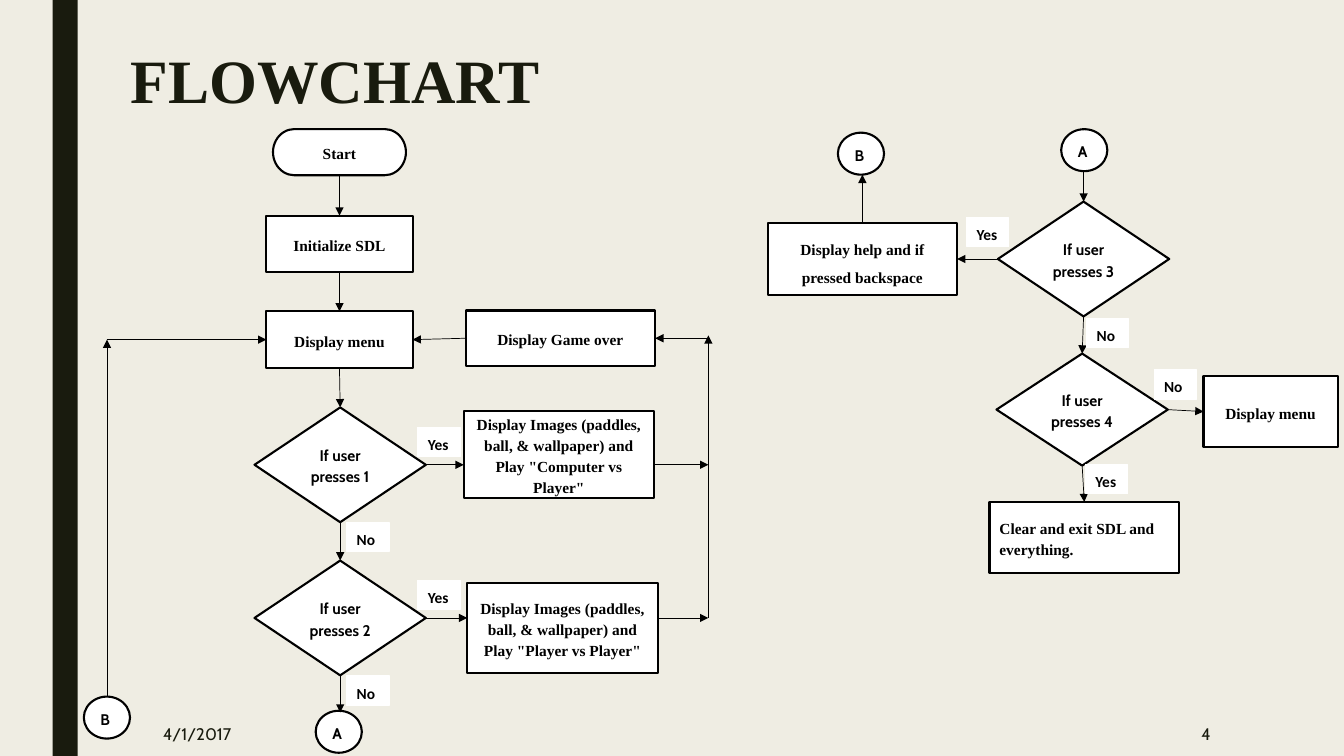
from dataclasses import dataclass

from pptx import Presentation
from pptx.dml.color import RGBColor as RGB
from pptx.enum.shapes import MSO_CONNECTOR as LINE, MSO_SHAPE as SHAPE
from pptx.enum.text import MSO_ANCHOR as ANCHOR, PP_ALIGN as ALIGN
from pptx.oxml.ns import qn
from pptx.util import Pt
from lxml.etree import SubElement

TOP, LEFT, BOTTOM, RIGHT = range(4)


@dataclass(frozen=True)
class Theme:
    paper: RGB = RGB(0xEF, 0xED, 0xE3)
    dark: RGB = RGB(0x19, 0x1B, 0x0E)
    white: RGB = RGB(0xFF, 0xFF, 0xFF)
    black: RGB = RGB(0, 0, 0)
    serif: str = "Times New Roman"
    sans: str = "Cabin"
    label: str = "Calibri"
    title_size: float = 44
    footer_size: float = 12
    node_size: float = 11
    outline: float = 1.5
    label_outline: float = 0.75
    arrow: float = 0.5


T = Theme()


def write(sp, text, font, size, color, bold=True, align=ALIGN.LEFT,
          anchor=ANCHOR.MIDDLE, spacing=None, after=None):
    tf = sp.text_frame
    tf.word_wrap = True
    tf.vertical_anchor = anchor
    p = tf.paragraphs[0]
    p.text = text
    p.alignment = align
    if spacing:
        p.line_spacing = spacing
    if after:
        p.space_after = Pt(after)
    f = p.runs[0].font
    f.name, f.size, f.bold = font, Pt(size), bold
    f.color.rgb = color


def textbox(s, x, y, w, h, text, font, size, **style):
    sp = s.shapes.add_textbox(Pt(x), Pt(y), Pt(w), Pt(h))
    write(sp, text, font, size, T.dark, **style)


def block(s, kind, x, y, w, h, fill, line, weight):
    sp = s.shapes.add_shape(kind, Pt(x), Pt(y), Pt(w), Pt(h))
    sp.shadow.inherit = False
    sp.fill.solid()
    sp.fill.fore_color.rgb = fill
    sp.line.color.rgb = line
    sp.line.width = Pt(weight)
    return sp


def node(s, kind, cx, cy, w, h, text, font=T.serif, align=ALIGN.CENTER, spacing=1.15):
    sp = block(s, kind, cx - w / 2, cy - h / 2, w, h, T.white, T.black, T.outline)
    write(sp, text, font, T.node_size, T.black, align=align, spacing=spacing, after=10)
    return sp


def process(s, cx, cy, w, h, text, **style):
    return node(s, SHAPE.FLOWCHART_PROCESS, cx, cy, w, h, text, **style)


def decision(s, cx, cy, key, h=82):
    return node(s, SHAPE.FLOWCHART_DECISION, cx, cy, 122.4, h,
                f"If user presses {key}", font=T.sans)


def junction(s, cx, cy, letter):
    return node(s, SHAPE.FLOWCHART_CONNECTOR, cx, cy, 33, 30, letter,
                font=T.sans, align=ALIGN.LEFT)


def answer(s, x, y, text):
    sp = block(s, SHAPE.RECTANGLE, x, y, 30.2, 20.9, T.white, T.white, T.label_outline)
    write(sp, text, T.label, T.node_size, T.black, anchor=ANCHOR.TOP, spacing=1.15, after=10)


def arrow(s, start, end, from_side=None, to_side=None):
    points = [(0, 0) if side is not None else place
              for place, side in ((start, from_side), (end, to_side))]
    c = s.shapes.add_connector(LINE.STRAIGHT, *(Pt(v) for point in points for v in point))
    if from_side is not None:
        c.begin_connect(start, from_side)
    if to_side is not None:
        c.end_connect(end, to_side)
    c.line.color.rgb = T.black
    c.line.width = Pt(T.arrow)
    SubElement(c.line._get_or_add_ln(), qn("a:tailEnd"), type="triangle")
    SubElement(c._element.spPr, qn("a:effectLst"))


def frame(s, w, h):
    s.background.fill.solid()
    s.background.fill.fore_color.rgb = T.paper
    bar = block(s, SHAPE.RECTANGLE, 37.5, 0, 18, h, T.dark, T.dark, T.outline)
    bar.line.fill.background()
    textbox(s, 86.4, 27.4, 756, 65.5, "FLOWCHART", T.serif, T.title_size, spacing=0.89)
    footer = dict(y=h - 31.7, h=31.7, font=T.sans, size=T.footer_size, bold=False)
    textbox(s, x=109.4, w=95, text="4/1/2017", **footer)
    textbox(s, x=w - 214, w=126, text="4", align=ALIGN.RIGHT, **footer)


def game_flow(s, x, y):
    axis, bus, back = x + 183, x + 446, x + 16.4
    menu_y = y + 150.6
    start = node(s, SHAPE.FLOWCHART_TERMINATOR, axis - 0.5, y + 16.7, 95, 33, "Start")
    init = process(s, axis - 0.5, y + 82.2, 104.4, 40.3, "Initialize SDL")
    menu = process(s, axis - 0.5, menu_y, 104.4, 40.3, "Display menu")
    over = process(s, x + 340.3, y + 149.6, 135.4, 39.6, "Display Game over")
    junction(s, axis - 1, y + 430.7, "A")
    to_menu = junction(s, back, y + 420.6, "B")

    games = ((1, 240, 339.2, 232.7, 61.9, "Computer vs Player"),
             (2, 349.4, 341.8, 356.6, 64.8, "Player vs Player"))
    choices = []
    for key, dy, game_x, game_y, game_h, mode in games:
        cy = y + dy
        choice = decision(s, axis, cy, key)
        process(s, x + game_x, y + game_y, 135.8, game_h,
                f'Display Images (paddles, ball, & wallpaper) and Play "{mode}"')
        arrow(s, choice, (x + game_x - 68, cy), from_side=RIGHT)
        arrow(s, (x + game_x + 68, cy), (bus, cy))
        choices.append(choice)

    chain = [start, init, menu, *choices]
    for upper, lower in zip(chain, chain[1:]):
        arrow(s, upper, lower, BOTTOM, TOP)
    arrow(s, choices[-1], (axis, y + 417), from_side=BOTTOM)
    arrow(s, (bus, y + 349.4), (bus, y + 147.5))
    arrow(s, (bus, y + 149.6), over, to_side=RIGHT)
    arrow(s, over, menu, LEFT, RIGHT)
    arrow(s, to_menu, (back, menu_y), from_side=TOP)
    arrow(s, (back, menu_y), menu, to_side=LEFT)

    for _, dy, *_ in games:
        answer(s, axis + 55.5, y + dy - 26.7, "Yes")
        answer(s, axis + 4.7, y + dy + 41.4, "No")


def exit_flow(s, x, y):
    axis, help_x = x + 226, x + 68
    junction(s, help_x - 1, y + 17.8, "B")
    junction(s, axis + 0.5, y + 15.3, "A")
    help_box = process(s, help_x, y + 93, 135.4, 51.8,
                       "Display help and if pressed backspace", spacing=1.5)
    third = decision(s, axis, y + 93, 3)
    fourth = decision(s, axis - 1, y + 200.6, 4, h=80)
    menu = process(s, x + 359.6, y + 202, 95.8, 51, "Display menu")
    leave = process(s, axis + 0.5, y + 291.8, 135.4, 50.4,
                    "Clear and exit SDL and everything.", align=ALIGN.LEFT)

    arrow(s, (axis, y + 30.3), third, to_side=TOP)
    arrow(s, third, help_box, LEFT, RIGHT)
    arrow(s, help_box, (help_x, y + 32.8), from_side=TOP)
    arrow(s, third, fourth, BOTTOM, TOP)
    arrow(s, fourth, menu, RIGHT, LEFT)
    arrow(s, fourth, leave, BOTTOM, TOP)

    for dx, dy, text in ((142.5, 63.5, "Yes"), (228.2, 135.5, "No"),
                         (227.4, 239.9, "Yes"), (276.4, 172.2, "No")):
        answer(s, x + dx, y + dy, text)


def main():
    prs = Presentation()
    prs.slide_width, prs.slide_height = Pt(960), Pt(540)
    s = prs.slides.add_slide(prs.slide_layouts[6])
    frame(s, 960, 540)
    game_flow(s, 60, 92)
    exit_flow(s, 548, 92)
    prs.save("out.pptx")


if __name__ == "__main__":
    main()
